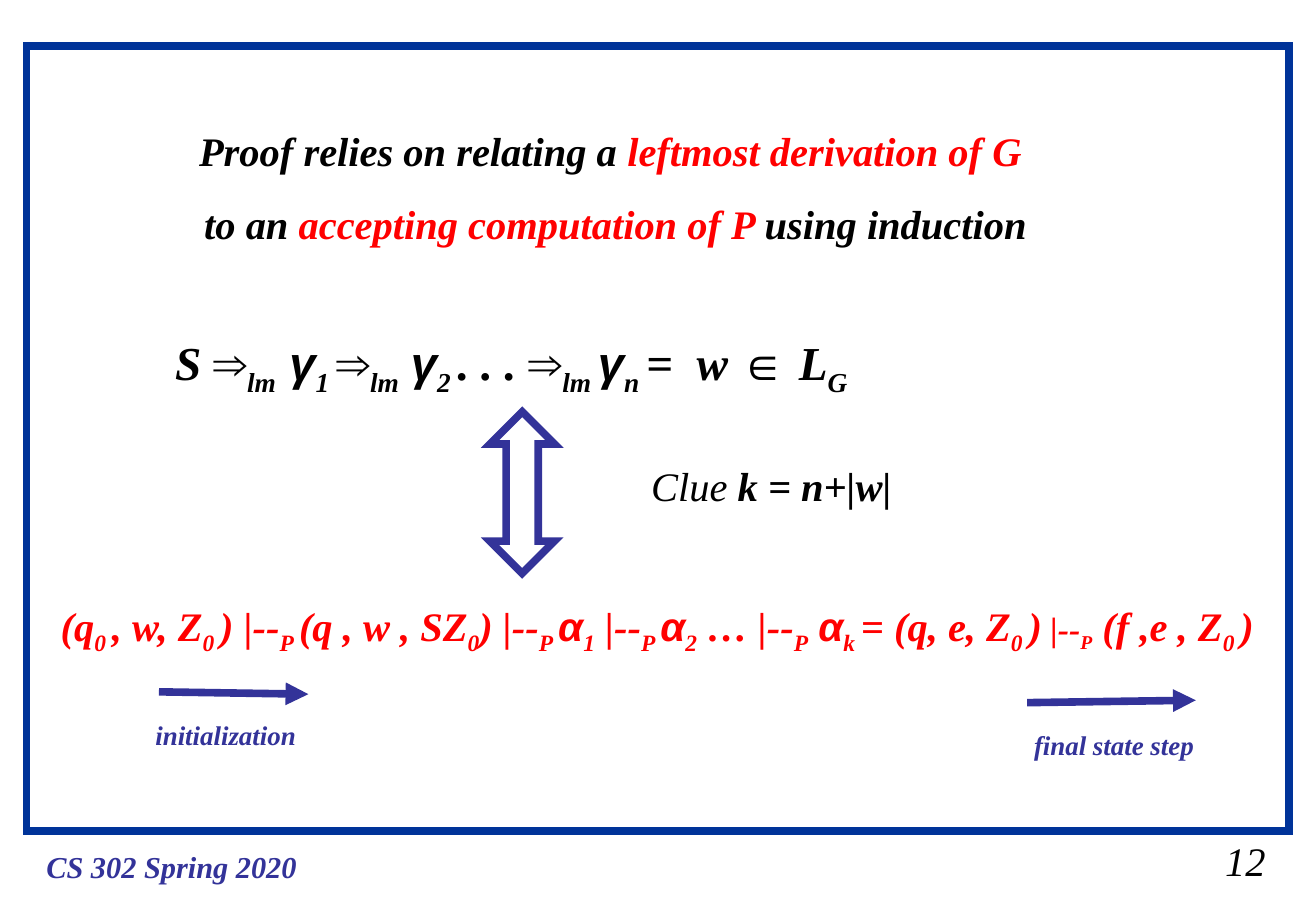
from pptx import Presentation
from pptx.dml.color import RGBColor
from pptx.enum.shapes import MSO_CONNECTOR as CONN, MSO_SHAPE as SHAPE
from pptx.enum.text import MSO_AUTO_SIZE as AUTO, PP_ALIGN as ALIGN
from pptx.oxml.ns import qn
from pptx.util import Pt
from lxml.etree import SubElement

NAVY, INDIGO, RED, BLACK = "003399", "333399", "FF0000", "000000"
SUB = {"baseline": "-25000"}


def rgb(value):
    return RGBColor.from_string(value)


def sub(text):
    return text, {}, SUB


def sym(text):
    return text, {"name": "Arial"}, {}


def red(text):
    return text, {"color": RED}, {}


def add_run(p, part, base):
    text, changes, attrs = (part, {}, {}) if isinstance(part, str) else part
    r = p.add_run()
    r.text = text
    fmt = {"name": "Times New Roman", "bold": True, "italic": True, **base, **changes}
    r.font.color.rgb = rgb(fmt.pop("color"))
    for key, value in fmt.items():
        setattr(r.font, key, value)
    for key, value in attrs.items():
        r._r.get_or_add_rPr().set(key, value)


def add_text(s, box, lines, size, color, para=None, **base):
    tf = s.shapes.add_textbox(*map(Pt, box)).text_frame
    tf.word_wrap = False
    tf.auto_size = AUTO.SHAPE_TO_FIT_TEXT
    for i, line in enumerate(lines):
        p = tf.add_paragraph() if i else tf.paragraphs[0]
        for key, value in (para or {}).items():
            setattr(p, key, value)
        for part in line:
            add_run(p, part, {"size": Pt(size), "color": color, **base})


def add_outline(s, kind, box, color):
    sp = s.shapes.add_shape(kind, *map(Pt, box))
    sp.shadow.inherit = False
    sp.fill.background()
    sp.line.color.rgb = rgb(color)
    sp.line.width = Pt(4.5)
    SubElement(sp.line._get_or_add_ln(), qn("a:miter"), lim="800000")
    return sp


def add_arrow(s, start, end):
    c = s.shapes.add_connector(CONN.STRAIGHT, *map(Pt, start + end))
    c.line.color.rgb = rgb(INDIGO)
    c.line.width = Pt(4.5)
    SubElement(c.line._get_or_add_ln(), qn("a:tailEnd"), type="triangle")
    SubElement(c._element.spPr, qn("a:effectLst"))


def main():
    prs = Presentation()
    prs.slide_width, prs.slide_height = Pt(780.48), Pt(540)
    s = prs.slides.add_slide(prs.slide_layouts[6])

    add_outline(s, SHAPE.RECTANGLE, (15.8, 27.4, 748.8, 465.1), NAVY)
    add_text(s, (20.4, 499, 162.7, 28.8), [["CS 302 Spring 2020"]], 18, INDIGO)

    claim = [
        ["Proof relies on relating a ", red("leftmost derivation of G ")],
        ["to an ", red("accepting computation of P "), "using induction"],
    ]
    add_text(s, (110.9, 56.9, 508.3, 93.6), claim, 24, BLACK,
             {"alignment": ALIGN.CENTER, "line_spacing": 1.5})

    derivation = [
        "S ", sym("⇒"), sub("lm"), (" ", {}, {"spc": "100"}), sym("γ"), sub("1 "),
        sym("⇒"), sub("lm"), " ", sym("γ"), sub("2 "), ". . . ",
        sym("⇒"), sub("lm "), sym("γ"), sub("n "),
        ("=", {}, {"spc": "700"}), " w ", sym("∈"), " L", sub("G"),
    ]
    add_text(s, (96.8, 194.1, 419, 45.4), [derivation], 28, BLACK)

    small = {"size": Pt(20)}
    computation = [
        "(q", sub("0 "), ", w, Z", sub("0 "), ") |--", sub("P "),
        "(q , w , SZ", sub("0"), ") |--", sub("P "),
        sym("α"), sub("1"), " |--", sub("P "),
        sym("α"), sub("2"), " … |--", sub("P"), " ",
        sym("α"), sub("k "), "= (q, e, Z", sub("0 "), ")",
        (" |--", small, {}), ("P", small, SUB),
        " (f ,e , Z", sub("0 "), ")",
    ]
    add_text(s, (28.9, 352.5, 724.3, 40.3), [computation], 24, RED)

    link = add_outline(s, SHAPE.UP_DOWN_ARROW, (290.6, 244.1, 38.2, 95.8), INDIGO)
    link.adjustments[0], link.adjustments[1] = 0.5, 0.5
    clue = ["Clue ", ("k = n+|w|", {"bold": True}, {})]
    add_text(s, (379.1, 269.7, 157, 36), [clue], 24, BLACK, bold=False)

    steps = [
        ("initialization", (85.1, 422.6, 97.9, 26.6), (94.3, 410.1), (182.9, 411.5)),
        ("final state step", (606.2, 428.1, 109.4, 26.6), (609.2, 416.5), (709.2, 415.1)),
    ]
    for label, box, start, end in steps:
        add_arrow(s, start, end)
        add_text(s, box, [[label]], 16, INDIGO)

    add_text(s, (719.5, 492.2, 38.2, 36), [["12"]], 24, BLACK, bold=False)
    prs.save("out.pptx")


if __name__ == "__main__":
    main()
